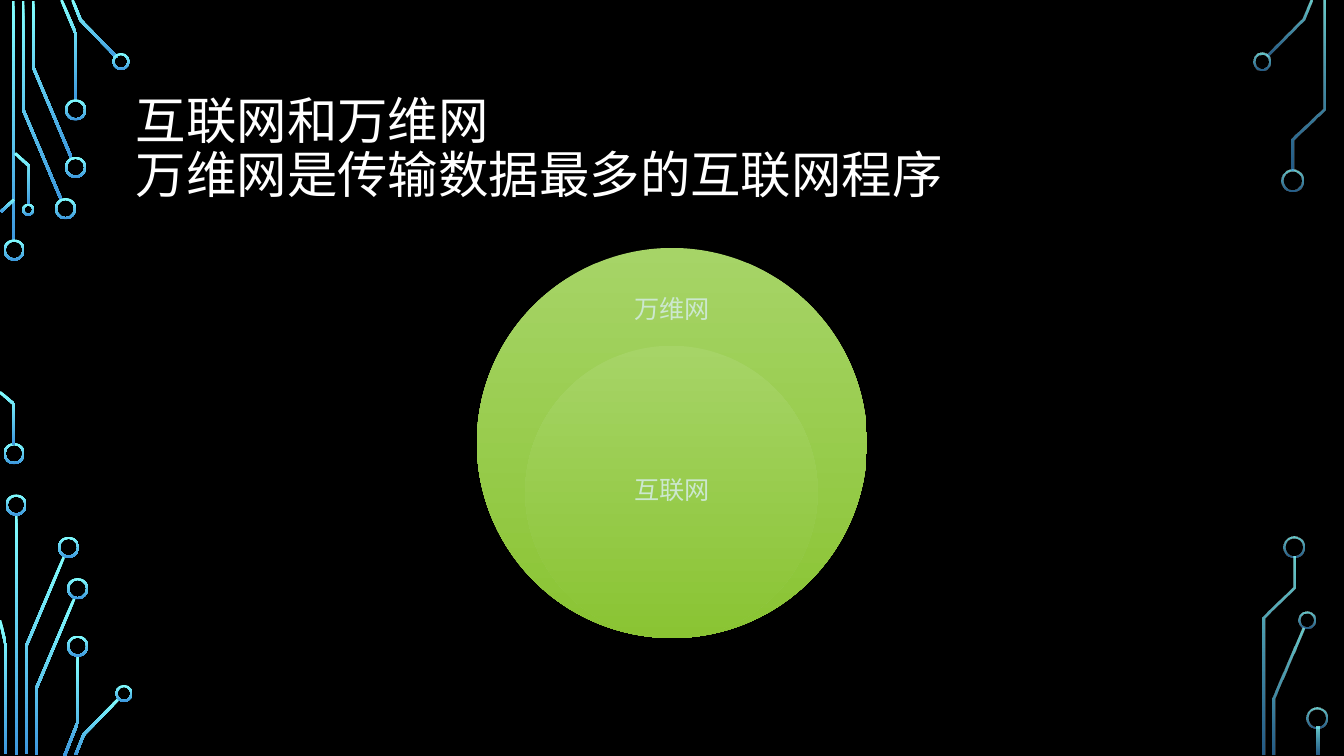
from dataclasses import dataclass
from math import hypot

from lxml.etree import SubElement as Sub
from pptx import Presentation as Deck
from pptx.dml.color import RGBColor as Rgb
from pptx.enum.shapes import MSO_SHAPE as Kind
from pptx.enum.text import MSO_ANCHOR as Anchor, PP_ALIGN as Align
from pptx.oxml.ns import qn
from pptx.shapes.autoshape import Shape
from pptx.slide import Slide
from pptx.util import Inches, Pt

Point = tuple[float, float]

HUES = {
    "back": "000000",
    "title": "FFFFFF",
    "label": "CCE8CF",
    "wire top": "82FFFF",
    "wire end": "3D97DE",
    "disc top": "A6D467",
    "disc end": "8AC433",
}
FONT = "Calibri"
HALF = 0.013
RIM = 0.02
SOLID = (100, 100)
FAINT = (80, 60)


@dataclass
class Bar:
    left: float
    top: float
    tall: float


@dataclass
class Ring:
    x: float
    y: float
    size: float = 0.21


@dataclass
class Wire:
    points: list[Point]


@dataclass
class Disc:
    left: float
    top: float
    size: float


@dataclass
class Label:
    text: str
    left: float
    top: float
    wide: float
    tall: float
    size: int
    hue: str
    align: Align = Align.CENTER
    pad: float | None = None


LEFT = [
    Bar(0.12, 0.01, 2.39),
    Ring(0.14, 2.48),
    Ring(0.14, 4.5),
    Wire([(0.23, 0.01), (0.23, 1.09), (0.61, 1.99)]),
    Ring(0.65, 2.07),
    Wire([(0.33, 0.01), (0.33, 0.67), (0.71, 1.57)]),
    Wire([(0.61, 0), (0.75, 0.33), (0.75, 1)]),
    Ring(0.75, 1.66),
    Ring(0.75, 1.09),
    Wire([(0.72, 0), (0.8, 0.2), (1.16, 0.57)]),
    Ring(1.2, 0.61, 0.17),
    Wire([(0.01, 2.1), (0.14, 1.98)]),
    Wire([(0, 3.89), (0.14, 4.01), (0.14, 4.41)]),
    Wire([(0.15, 1.52), (0.29, 1.65), (0.29, 2.03)]),
    Ring(0.28, 2.08, 0.12),
    Bar(0.15, 5.1, 2.39),
    Wire([(0.26, 7.48), (0.26, 6.41), (0.64, 5.51)]),
    Ring(0.16, 5.01),
    Wire([(0, 6.15), (0.06, 6.41), (0.06, 7.48)]),
    Ring(0.68, 5.43),
    Wire([(0.36, 7.49), (0.36, 6.83), (0.74, 5.93)]),
    Wire([(0.64, 7.5), (0.77, 7.17), (0.77, 6.5)]),
    Ring(0.77, 5.84),
    Ring(0.77, 6.41),
    Wire([(0.75, 7.49), (0.83, 7.29), (1.18, 6.93)]),
    Ring(1.23, 6.88, 0.17),
]
RIGHT = [
    Wire([(12.57, 0.55), (12.93, 0.19), (13.01, 0)]),
    Ring(12.52, 0.61, 0.17),
    Ring(12.82, 1.79),
    Wire([(12.63, 7.49), (12.63, 6.93), (12.93, 6.23)]),
    Ring(12.96, 6.15, 0.17),
    Wire([(12.82, 1.69), (12.82, 1.38), (13.13, 1.08), (13.13, 0.01)]),
    Ring(12.83, 5.43),
    Wire([(12.53, 7.49), (12.53, 6.13), (12.84, 5.83), (12.84, 5.52)]),
    Ring(13.06, 7.12),
    Bar(13.06, 7.21, 0.28),
]
TITLE = Label("互联网和万维网\v万维网是传输数据最多的互联网程序",
              1.25, 0.68, 10.83, 1.62, 36, "title", Align.LEFT)
PAIRS = [
    (Disc(4.73, 2.46, 3.87),
     Label("万维网", 5.65, 2.75, 2.03, 0.66, 18, "label", pad=0.14)),
    (Disc(5.21, 3.43, 2.9),
     Label("互联网", 5.64, 4.15, 2.05, 1.45, 18, "label", pad=0.14)),
]


def edge(points: list[Point]) -> list[Point]:
    norms = []
    for (ax, ay), (bx, by) in zip(points, points[1:]):
        span = hypot(bx - ax, by - ay)
        norms.append(((ay - by) / span, (bx - ax) / span))
    near, far = [], []
    for (x, y), (px, py), (qx, qy) in zip(points, norms[:1] + norms, norms + norms[-1:]):
        scale = HALF / (1 + px * qx + py * qy)
        dx, dy = (px + qx) * scale, (py + qy) * scale
        near.append((x + dx, y + dy))
        far.append((x - dx, y - dy))
    return near + far[::-1]


def paint(shape: Shape, name: str, alpha: tuple[int, int] = SOLID) -> None:
    shape.shadow.inherit = False
    shape.line.fill.background()
    fill = shape.fill
    fill.gradient()
    fill.gradient_angle = 270
    for stop, part, place in zip(fill.gradient_stops, ("top", "end"), (0, 1)):
        stop.position = place
        stop.color.rgb = Rgb.from_string(HUES[f"{name} {part}"])
    if alpha != SOLID:
        for tint, share in zip(shape.element.iter(qn("a:srgbClr")), alpha):
            Sub(tint, qn("a:alpha"), val=str(share * 1000))


def place(slide: Slide, kind: Kind, *box: float) -> Shape:
    return slide.shapes.add_shape(kind, *map(Inches, box))


def trace(slide: Slide, part: Bar | Ring | Wire) -> Shape:
    if isinstance(part, Bar):
        return place(slide, Kind.RECTANGLE, part.left, part.top, 2 * HALF, part.tall)
    if isinstance(part, Ring):
        size = part.size
        shape = place(slide, Kind.DONUT, part.x - size / 2, part.y - size / 2, size, size)
        shape.adjustments[0] = RIM / size
        return shape
    first, *rest = [(Inches(x), Inches(y)) for x, y in edge(part.points)]
    form = slide.shapes.build_freeform(*first)
    form.add_line_segments(rest, close=True)
    return form.convert_to_shape()


def write(slide: Slide, label: Label) -> None:
    box = slide.shapes.add_textbox(
        *map(Inches, (label.left, label.top, label.wide, label.tall)))
    frame = box.text_frame
    frame.word_wrap = True
    frame.vertical_anchor = Anchor.MIDDLE
    if label.pad is not None:
        frame.margin_left = frame.margin_right = Inches(label.pad)
        frame.margin_top = frame.margin_bottom = Inches(label.pad)
    frame.text = label.text
    line = frame.paragraphs[0]
    line.alignment = label.align
    line.line_spacing = 0.9
    for run in line.runs:
        run.font.size = Pt(label.size)
        run.font.color.rgb = Rgb.from_string(HUES[label.hue])
        run.font.name = FONT
        Sub(run.font._element, qn("a:ea"), typeface=FONT)


def main() -> None:
    deck = Deck()
    deck.slide_width, deck.slide_height = Inches(13.33), Inches(7.5)
    slide = deck.slides.add_slide(deck.slide_layouts[6])
    slide.background.fill.solid()
    slide.background.fill.fore_color.rgb = Rgb.from_string(HUES["back"])
    for parts, alpha in ((LEFT, SOLID), (RIGHT, FAINT)):
        for part in parts:
            paint(trace(slide, part), "wire", alpha)
    write(slide, TITLE)
    for disc, label in PAIRS:
        paint(place(slide, Kind.OVAL, disc.left, disc.top, disc.size, disc.size), "disc")
        write(slide, label)
    deck.save("out.pptx")


if __name__ == "__main__":
    main()
